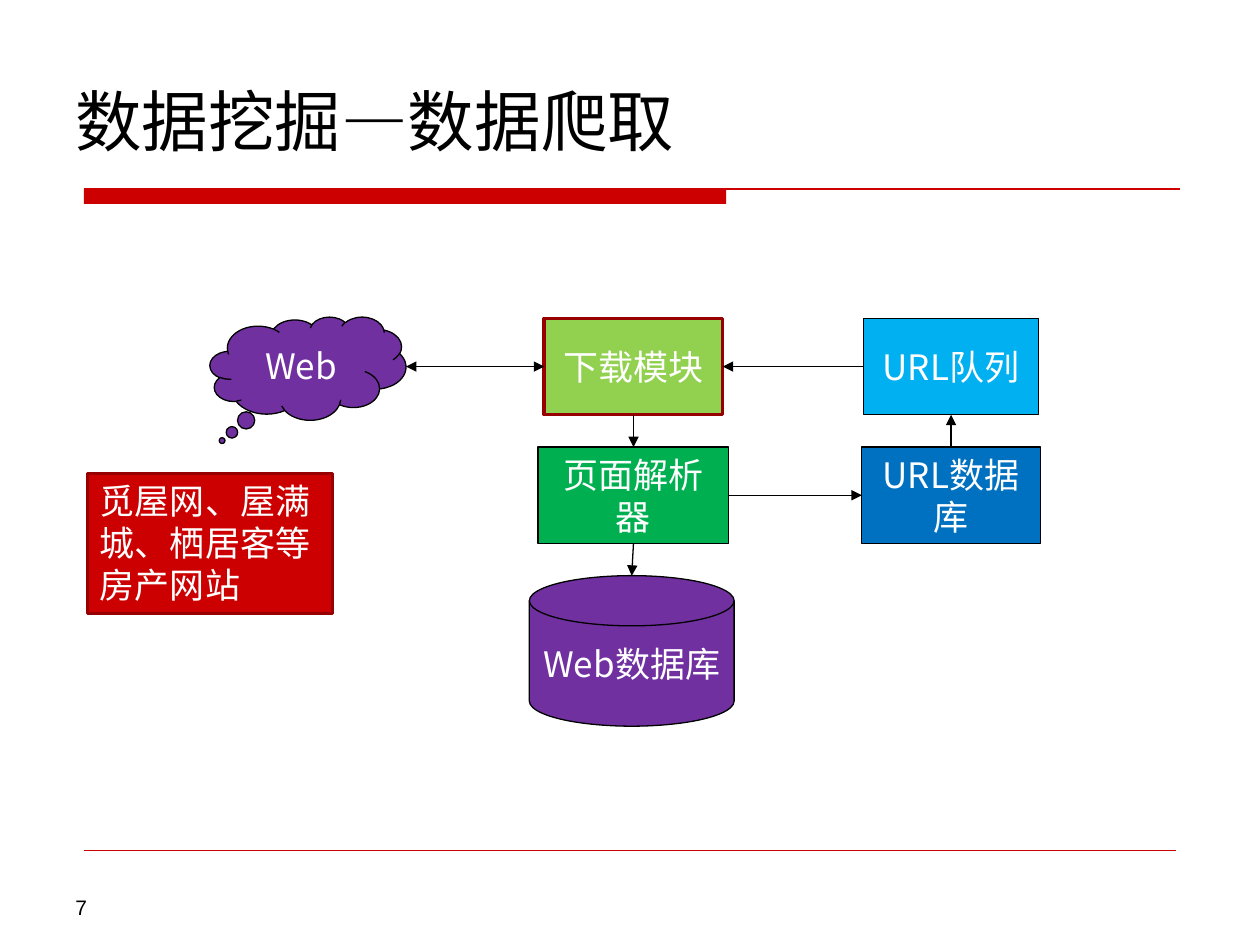
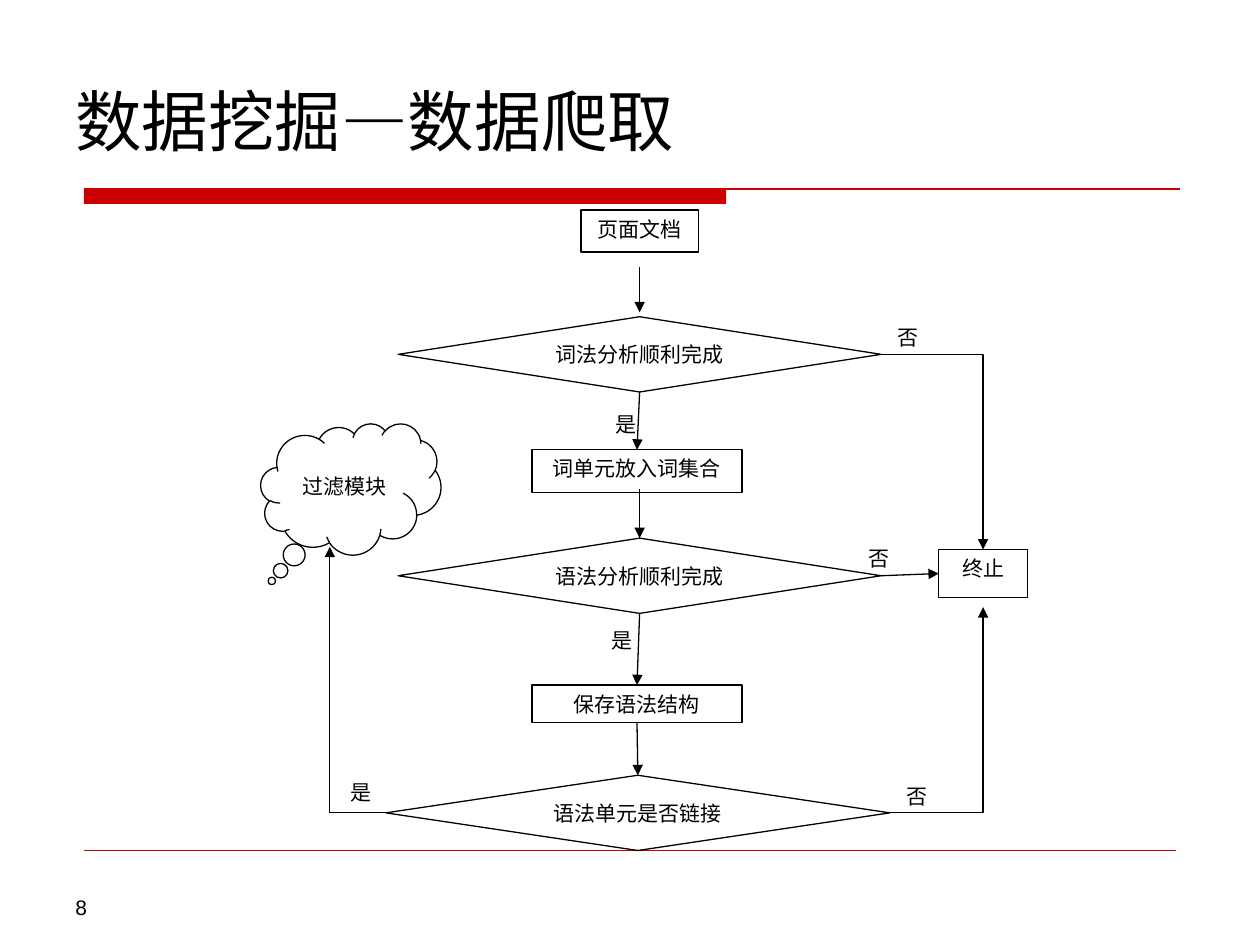
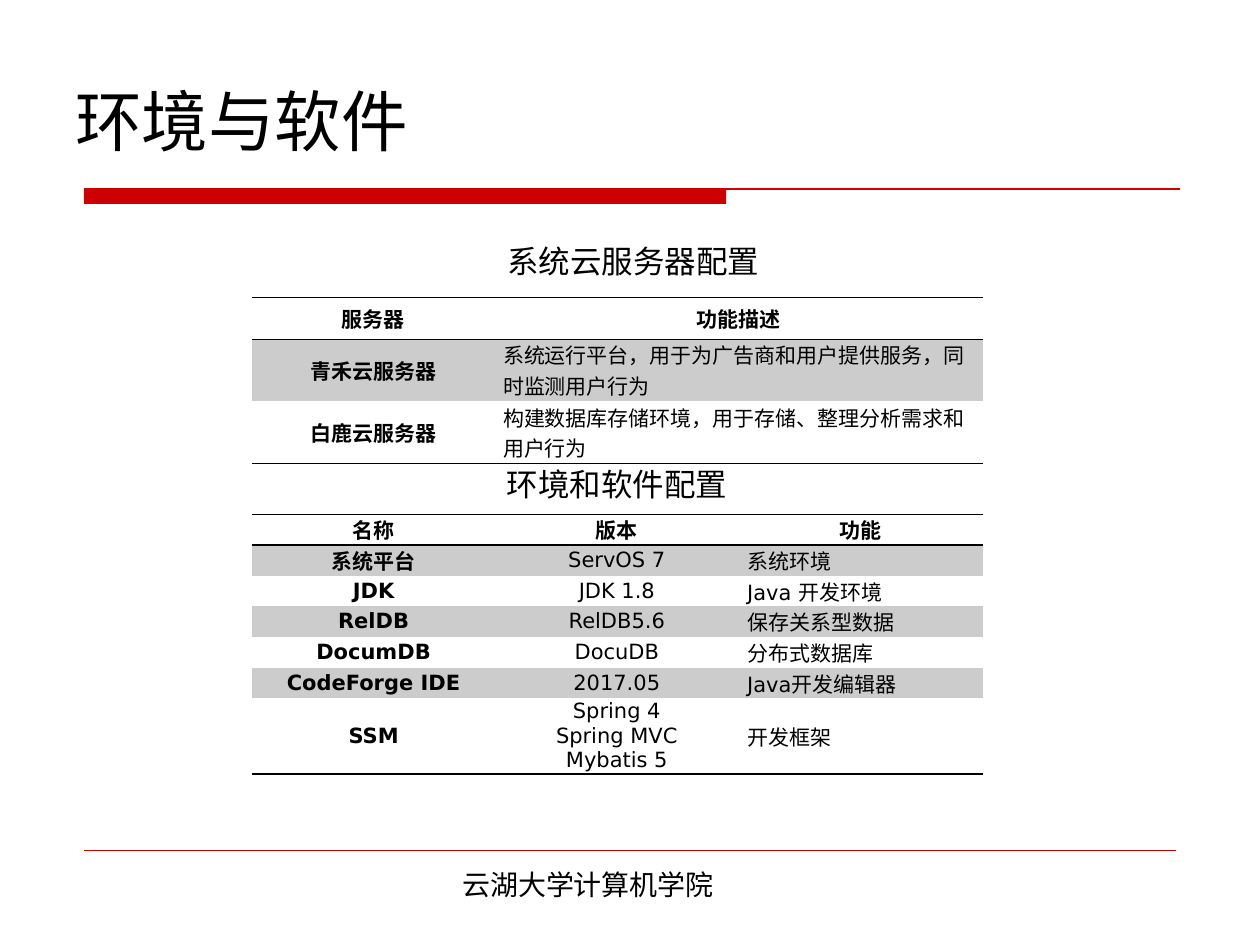
import pptx
import pptx.dml.color
import pptx.enum.dml
import pptx.enum.shapes
import pptx.enum.text
import pptx.oxml.ns
import pptx.util
from lxml import etree

Pt = pptx.util.Pt
qn = pptx.oxml.ns.qn
SHAPE = pptx.enum.shapes.MSO_SHAPE
CONNECTOR = pptx.enum.shapes.MSO_CONNECTOR
ALIGN = pptx.enum.text.PP_ALIGN
ANCHOR = pptx.enum.text.MSO_ANCHOR

TOP, LEFT, BOTTOM, RIGHT = range(4)
CJK, SANS, ARIAL = "Noto Sans CJK SC", "DejaVu Sans", "Arial"
BLACK, WHITE, RED, DARK_RED = "000000", "FFFFFF", "CC0000", "970000"
PURPLE, GREY = "7030A0", "CCCCCC"
PLAIN_TABLE = "{2D5ABB26-0587-4C30-8999-92F81FD0307C}"


def rgb(value):
    return pptx.dml.color.RGBColor.from_string(value)


class Deck:
    """Holds the presentation, its style and the current slide."""

    def __init__(self):
        self.prs = pptx.Presentation()
        self.prs.slide_width, self.prs.slide_height = Pt(720), Pt(540)
        self.s = None

    def slide(self, title, number=None):
        """Start a slide with the shared band, rule, title and number."""
        self.s = self.prs.slides.add_slide(self.prs.slide_layouts[6])
        self.shape(SHAPE.RECTANGLE, (48, 108, 367, 8.6), fill=RED, line=None)
        self.line((48, 108), (674.5, 108), color=RED, head=False)
        self.line((48, 486), (672, 486), color=RED, width=0.25, head=False)
        if number:
            self.text((36, 508, 168, 21), number, 12, ARIAL,
                      anchor=ANCHOR.BOTTOM)
        self.text((36, 42, 648, 70), title, 38, CJK)

    def fill_text(self, tf, text, size, font=CJK, color=BLACK, bold=False,
                  align=ALIGN.LEFT, anchor=ANCHOR.TOP):
        tf.word_wrap = True
        tf.vertical_anchor = anchor
        for i, part in enumerate(text.split("\n")):
            p = tf.add_paragraph() if i else tf.paragraphs[0]
            p.alignment = align
            r = p.add_run()
            r.text = part
            r.font.size, r.font.bold, r.font.name = Pt(size), bold, font
            r.font.color.rgb = rgb(color)
            ea = etree.SubElement(r.font._element, qn("a:ea"))
            ea.set("typeface", CJK)

    def text(self, box, text, size, font, **style):
        sp = self.s.shapes.add_textbox(*map(Pt, box))
        self.fill_text(sp.text_frame, text, size, font, **style)

    def shape(self, kind, box, text="", size=12, fill=WHITE, line=BLACK,
              width=0.75, color=BLACK, align=ALIGN.CENTER, anchor=ANCHOR.TOP):
        sp = self.s.shapes.add_shape(kind, *map(Pt, box))
        sp.shadow.inherit = False
        sp.fill.solid()
        sp.fill.fore_color.rgb = rgb(fill)
        if line:
            sp.line.color.rgb = rgb(line)
            sp.line.width = Pt(width)
        else:
            sp.line.fill.background()
        if text:
            self.fill_text(sp.text_frame, text, size, color=color,
                           align=align, anchor=anchor)
        return sp

    def cloud(self, box, text, **style):
        sp = self.shape(SHAPE.CLOUD_CALLOUT, box, text, anchor=ANCHOR.MIDDLE,
                        **style)
        sp.adjustments[0], sp.adjustments[1] = -0.438, 0.7

    def label(self, x, y, text):
        """A small vertical branch label."""
        sp = self.shape(SHAPE.RECTANGLE, (x, y, 28.8, 26), text, line=None)
        sp.text_frame._txBody.bodyPr.set("vert", "eaVert")

    def line(self, start, end, color=BLACK, width=0.75, head=True,
             both=False, bent=False):
        """Each end is a point (x, y) or a pair (shape, side)."""
        joins = [hasattr(e[0], "shape_id") for e in (start, end)]
        points = [(0, 0) if j else e for j, e in zip(joins, (start, end))]
        kind = CONNECTOR.ELBOW if bent else CONNECTOR.STRAIGHT
        c = self.s.shapes.add_connector(
            kind, *(Pt(v) for point in points for v in point))
        if joins[0]:
            c.begin_connect(*start)
        if joins[1]:
            c.end_connect(*end)
        c.line.color.rgb = rgb(color)
        c.line.width = Pt(width)
        ln = c.line._get_or_add_ln()
        for tag, wanted in (("a:headEnd", both), ("a:tailEnd", head)):
            if wanted:
                etree.SubElement(ln, qn(tag)).set("type", "triangle")
        spPr = c._element.spPr
        if bent:
            spPr.find(qn("a:prstGeom")).set("prst", "bentConnector2")
        etree.SubElement(spPr, qn("a:effectLst"))

    def border(self, cell, side):
        ln = etree.SubElement(cell._tc.get_or_add_tcPr(), qn("a:ln" + side))
        ln.set("w", str(Pt(1)))
        fill = etree.SubElement(ln, qn("a:solidFill"))
        etree.SubElement(fill, qn("a:srgbClr")).set("val", BLACK)

    def table(self, x, y, widths, heights, rows, aligns):
        """Ruled table: bold header and first column, grey odd rows."""
        frame = self.s.shapes.add_table(
            len(rows), len(widths), Pt(x), Pt(y), Pt(sum(widths)),
            Pt(sum(heights)))
        t = frame.table
        t.first_row = t.horz_banding = False
        t._tbl.tblPr.find(qn("a:tableStyleId")).text = PLAIN_TABLE
        for col, w in zip(t.columns, widths):
            col.width = Pt(w)
        for i, (row, h) in enumerate(zip(rows, heights)):
            t.rows[i].height = Pt(h)
            for j, text in enumerate(row):
                cell = t.cell(i, j)
                cell.margin_left = cell.margin_right = Pt(5)
                cell.margin_top = cell.margin_bottom = 0
                if i == 0:
                    self.border(cell, "T")
                if i in (0, len(rows) - 1):
                    self.border(cell, "B")
                if i % 2:
                    cell.fill.solid()
                    cell.fill.fore_color.rgb = rgb(GREY)
                else:
                    cell.fill.background()
                self.fill_text(cell.text_frame, text, 12, SANS,
                               bold=i == 0 or j == 0,
                               align=aligns[j] if i else ALIGN.CENTER)
                cell.vertical_anchor = ANCHOR.MIDDLE


def crawler_slide(d):
    d.slide("数据挖掘—数据爬取", "7")
    big = dict(size=20, color=WHITE)
    mid = dict(big, anchor=ANCHOR.MIDDLE)
    upper, lower, height = 182, 255.5, 55

    # Modules
    d.cloud((120, 181, 112, 59), "Web", fill=PURPLE, **big)
    loader = d.shape(SHAPE.RECTANGLE, (311, upper, 102, height), "下载模块",
                     fill="92D050", line=DARK_RED, width=2, **mid)
    queue = d.shape(SHAPE.RECTANGLE, (493.5, upper, 100, height), "URL队列",
                    fill="00B0F0", **mid)
    parser = d.shape(SHAPE.RECTANGLE, (307.5, lower, 109, height),
                     "页面解析器", fill="00B050", **mid)
    urls = d.shape(SHAPE.RECTANGLE, (492.5, lower, 102, height), "URL数据库",
                   fill="0070C0", **mid)
    d.shape(SHAPE.FLOWCHART_MAGNETIC_DISK, (302.5, 329, 117, 86),
            "Web数据库", fill=PURPLE, **mid)
    d.shape(SHAPE.RECTANGLE, (50, 270.5, 140, 80),
            "觅屋网、屋满城、栖居客等房产网站", fill=RED, line=DARK_RED,
            width=2, align=ALIGN.LEFT, **big)

    # Data flow
    d.line((232, 209.5), (loader, LEFT), both=True)
    d.line((queue, LEFT), (loader, RIGHT))
    d.line((loader, BOTTOM), (parser, TOP))
    d.line((parser, RIGHT), (urls, LEFT))
    d.line((urls, TOP), (queue, BOTTOM))
    d.line((parser, BOTTOM), (361, 329))


def analysis_slide(d):
    d.slide("数据挖掘—数据爬取", "8")

    # Branch labels
    for x, y, text in ((484, 306, "否"), (500.5, 179.5, "否"),
                       (505.5, 442, "否"), (188, 440, "是"),
                       (337, 353, "是"), (339, 229.5, "是")):
        d.label(x, y, text)

    # Steps and decisions
    step, choice = SHAPE.FLOWCHART_PROCESS, SHAPE.FLOWCHART_DECISION
    d.shape(step, (332, 120, 67, 24), "页面文档")
    words = d.shape(step, (304, 257, 120, 24.5), "词单元放入词集合")
    save = d.shape(step, (304, 391.5, 120, 21.5), "保存语法结构")
    stop = d.shape(step, (536.5, 314, 50.5, 27.5), "终止")
    lexical = d.shape(choice, (227.5, 181, 276, 43), "词法分析顺利完成",
                      anchor=ANCHOR.MIDDLE)
    syntax = d.shape(choice, (227.5, 307.5, 276, 43), "语法分析顺利完成",
                     anchor=ANCHOR.MIDDLE)
    link = d.shape(choice, (220.5, 443, 288, 43), "语法单元是否链接",
                   anchor=ANCHOR.MIDDLE)
    d.cloud((149, 242, 103, 75), "过滤模块")

    # Flow
    d.line((365.5, 152.5), (365.5, 178.5))
    d.line((lexical, BOTTOM), (words, TOP))
    d.line((365.5, 279.5), (syntax, TOP))
    d.line((syntax, BOTTOM), (save, TOP))
    d.line((save, BOTTOM), (link, TOP))
    d.line((syntax, RIGHT), (stop, LEFT))
    d.line((503.5, 202.5), (561.75, 314), bent=True)
    d.line((508.5, 464.5), (561.75, 347), bent=True)
    d.line((220.5, 464.5), (188.5, 312.5), bent=True)


def software_slide(d):
    d.slide("环境与软件")
    center = ALIGN.CENTER
    d.text((221, 134.5, 282, 29), "系统云服务器配置", 18, SANS, align=center)
    d.table(144, 170, (138.5, 279.5), (24, 35, 36), (
        ("服务器", "功能描述"),
        ("青禾云服务器",
         "系统运行平台，用于为广告商和用户提供服务，同时监测用户行为"),
        ("白鹿云服务器",
         "构建数据库存储环境，用于存储、整理分析需求和用户行为"),
    ), (center, ALIGN.LEFT))

    d.text((211.5, 262, 282, 29), "环境和软件配置", 18, SANS, align=center)
    d.table(144, 294, (139, 139, 140), [17.5] * 6 + [42], (
        ("名称", "版本", "功能"),
        ("系统平台", "ServOS 7", "系统环境"),
        ("JDK", "JDK 1.8", "Java 开发环境"),
        ("RelDB", "RelDB5.6", "保存关系型数据"),
        ("DocumDB", "DocuDB", "分布式数据库"),
        ("CodeForge IDE", "2017.05", "Java开发编辑器"),
        ("SSM", "Spring 4\nSpring MVC\nMybatis 5", "开发框架"),
    ), (center, center, ALIGN.JUSTIFY))

    d.text((198, 492, 276, 37), "云湖大学计算机学院", 16, SANS, align=center)


def main():
    d = Deck()
    crawler_slide(d)
    analysis_slide(d)
    software_slide(d)
    d.prs.save("out.pptx")


if __name__ == "__main__":
    main()
